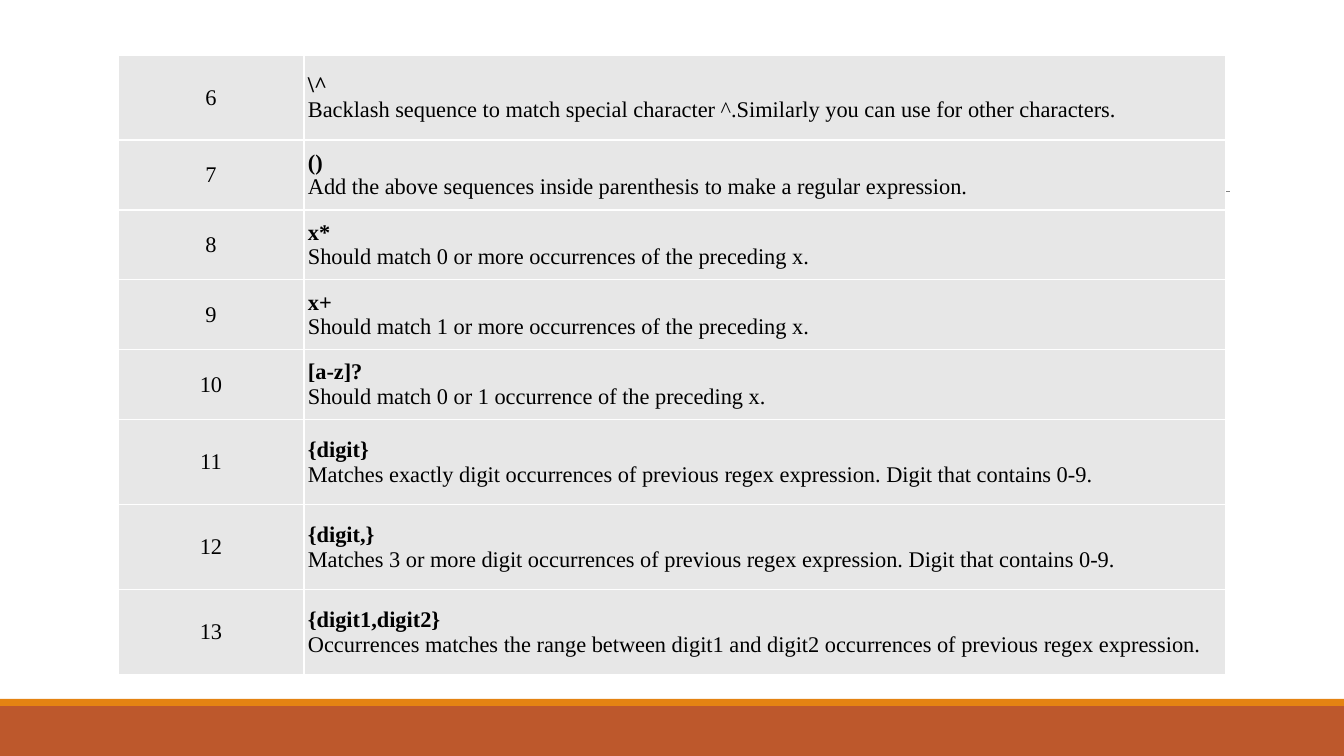
"""Build a slide with a table of regular expression sequences."""
import pptx
import pptx.util
import pptx.oxml
import pptx.dml.color
import pptx.enum.shapes
import pptx.enum.text
from lxml import etree

FIRST = 6
ROWS = [
    ("\\^", "Backlash sequence to match special character ^.Similarly you can use for other characters.", 85),
    ("()", "Add the above sequences inside parenthesis to make a regular expression.", 70),
    ("x*", "Should match 0 or more occurrences of the preceding x.", 70),
    ("x+", "Should match 1 or more occurrences of the preceding x.", 70),
    ("[a-z]?", "Should match 0 or 1 occurrence of the preceding x.", 70),
    ("{digit}", "Matches exactly digit occurrences of previous regex expression. Digit that contains 0-9.", 85),
    ("{digit,}", "Matches 3 or more digit occurrences of previous regex expression. Digit that contains 0-9.", 85),
    ("{digit1,digit2}", "Occurrences matches the range between digit1 and digit2 occurrences of previous regex expression.", 85),
]
COLS = [186, 922]
BANDS = [("rust", 706, 50), ("orange", 699, 7)]
COLORS = {"rust": "BD582C", "orange": "E48312", "rule": "808080",
          "cell": "E7E7E7", "edge": "FFFFFF", "text": "000000"}
FONT = "Times New Roman"
WIDE, HIGH = 1344, 756
LEFT, TOP, PAD = 118, 55, 4
NS = "http://schemas.openxmlformats.org/drawingml/2006/main"
ALIGN = pptx.enum.text.PP_ALIGN


def px(num):
    return pptx.util.Emu(round(num * 914400 / 100.8))


def color(name):
    return pptx.dml.color.RGBColor.from_string(COLORS[name])


def add_band(slide, name, top, high):
    band = slide.shapes.add_shape(pptx.enum.shapes.MSO_SHAPE.RECTANGLE,
                                  0, px(top), px(WIDE), px(high))
    band.shadow.inherit = False
    band.fill.solid()
    band.fill.fore_color.rgb = color(name)
    band.line.fill.background()


def add_rule(slide):
    rule = slide.shapes.add_connector(pptx.enum.shapes.MSO_CONNECTOR.STRAIGHT,
                                      px(132), px(191), px(1230), px(191))
    rule.line.color.rgb = color("rule")
    rule.line.width = pptx.util.Pt(0.5)
    props = rule._element.spPr
    etree.SubElement(props, f"{{{NS}}}effectLst")


def fill_cell(cell, lines, align):
    props = cell._tc.get_or_add_tcPr()
    for side in ("lnL", "lnR", "lnT", "lnB"):
        props.append(pptx.oxml.parse_xml(
            f'<a:{side} xmlns:a="{NS}" w="12700"><a:solidFill>'
            f'<a:srgbClr val="{COLORS["edge"]}"/></a:solidFill></a:{side}>'))
    cell.fill.solid()
    cell.fill.fore_color.rgb = color("cell")
    cell.margin_left = cell.margin_right = px(PAD)
    cell.margin_top = cell.margin_bottom = px(PAD)
    cell.vertical_anchor = pptx.enum.text.MSO_ANCHOR.MIDDLE
    cell.text = "\n".join(text for text, bold in lines)
    for par, (text, bold) in zip(cell.text_frame.paragraphs, lines):
        par.alignment = align
        par.font.name = FONT
        par.font.size = pptx.util.Pt(16)
        par.font.bold = bold
        par.font.color.rgb = color("text")


def add_grid(slide):
    high = sum(row[2] for row in ROWS)
    grid = slide.shapes.add_table(len(ROWS), len(COLS), px(LEFT), px(TOP),
                                  px(sum(COLS)), px(high)).table
    grid.first_row = grid.horz_banding = False
    for col, width in zip(grid.columns, COLS):
        col.width = px(width)
    for i, (token, note, size) in enumerate(ROWS):
        grid.rows[i].height = px(size)
        fill_cell(grid.cell(i, 0), [(str(FIRST + i), False)], ALIGN.CENTER)
        fill_cell(grid.cell(i, 1), [(token, True), (note, False)], ALIGN.LEFT)


def main():
    deck = pptx.Presentation()
    deck.slide_width, deck.slide_height = px(WIDE), px(HIGH)
    slide = deck.slides.add_slide(deck.slide_layouts[6])
    for band in BANDS:
        add_band(slide, *band)
    add_rule(slide)
    add_grid(slide)
    deck.save("out.pptx")


if __name__ == "__main__":
    main()
